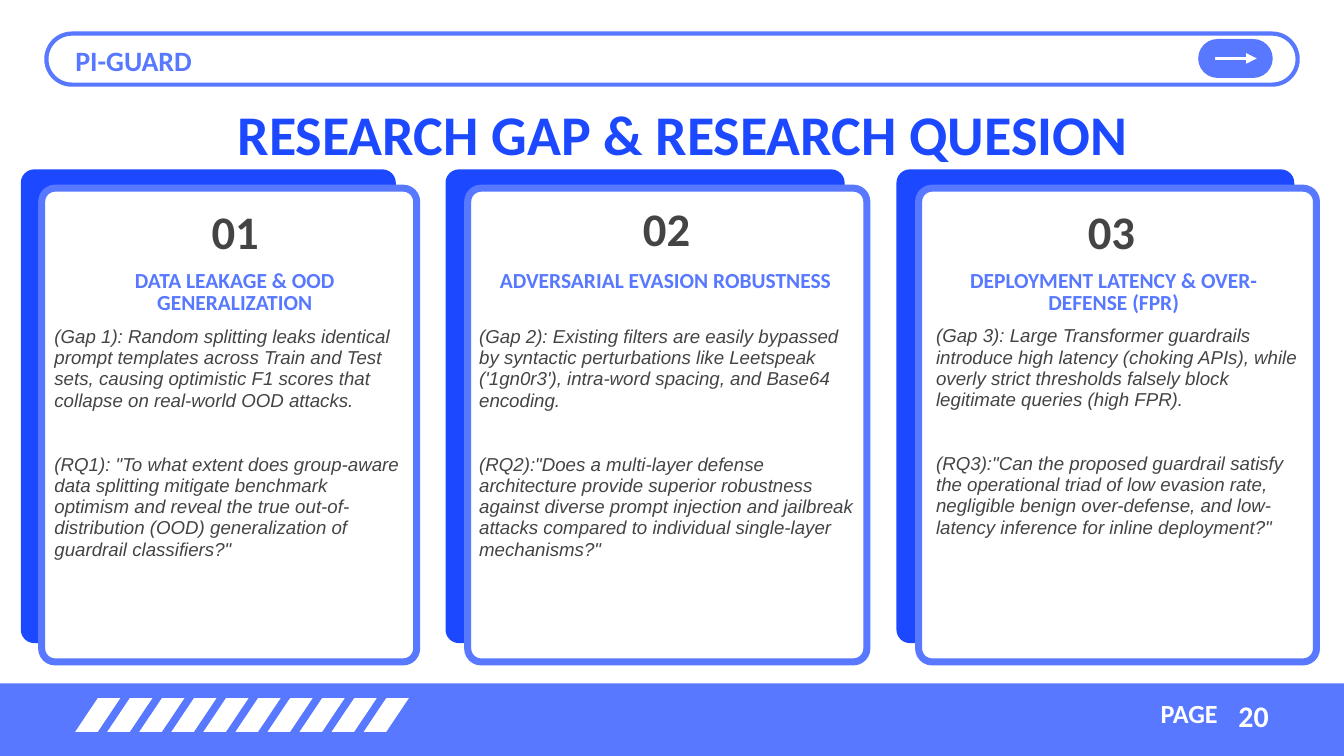
from lxml import etree
from pptx import Presentation
from pptx.dml.color import RGBColor
from pptx.enum import shapes, text
from pptx.oxml.ns import qn
from pptx.util import Inches, Pt

BLUE, DEEP, GRAY, WHITE = "5778FF", "1C49FF", "444444", "FFFFFF"
LEFT, CENTER, RIGHT = text.PP_ALIGN.LEFT, text.PP_ALIGN.CENTER, text.PP_ALIGN.RIGHT

CARDS = [
    dict(
        number="01", heading="DATA LEAKAGE & OOD GENERALIZATION",
        back=0.31, front=0.62, width=5.58,
        number_box=(1.05, 3.15, 4.9, 0.74),
        heading_box=(0.83, 4.04, 5.33, 0.64),
        body_box=(0.81, 4.85, 5.2, 3.76),
        body=[
            "(Gap 1): Random splitting leaks identical prompt templates across Train and Test sets, "
            "causing optimistic F1 scores that collapse on real-world OOD attacks.",
            "(RQ1): \"To what extent does group-aware data splitting mitigate benchmark optimism and "
            "reveal the true out-of-distribution (OOD) generalization of guardrail classifiers?\"",
        ],
    ),
    dict(
        number="02", heading="ADVERSARIAL EVASION ROBUSTNESS",
        back=6.63, front=6.96, width=5.94,
        number_box=(6.95, 3.1, 5.94, 0.74),
        heading_box=(6.96, 4.04, 5.89, 0.64),
        body_box=(7.13, 4.85, 5.72, 4.07),
        body=[
            "(Gap 2): Existing filters are easily bypassed by syntactic perturbations like Leetspeak "
            "('1gn0r3'), intra-word spacing, and Base64 encoding.",
            "(RQ2):\"Does a multi-layer defense architecture provide superior robustness against "
            "diverse prompt injection and jailbreak attacks compared to individual single-layer "
            "mechanisms?\"",
        ],
    ),
    dict(
        number="03", heading="DEPLOYMENT LATENCY & OVER-DEFENSE (FPR)",
        back=13.34, front=13.67, width=5.92,
        number_box=(13.58, 3.15, 5.92, 0.74),
        heading_box=(13.95, 4.04, 5.25, 0.96),
        body_box=(13.93, 4.84, 5.38, 3.44),
        body=[
            "(Gap 3): Large Transformer guardrails introduce high latency (choking APIs), while "
            "overly strict thresholds falsely block legitimate queries (high FPR).",
            "(RQ3):\"Can the proposed guardrail satisfy the operational triad of low evasion rate, "
            "negligible benign over-defense, and low-latency inference for inline deployment?\"",
        ],
    ),
]


def color(hex_string):
    """Return the colour for a hex string."""
    return RGBColor.from_string(hex_string)


def add_block(s, kind, box, fill=None, line=None, weight=0, adj=None):
    """Add a preset shape with an optional fill, outline and adjustment."""
    sp = s.shapes.add_shape(kind, *map(Inches, box))
    sp.shadow.inherit = False
    if fill:
        sp.fill.solid()
        sp.fill.fore_color.rgb = color(fill)
    else:
        sp.fill.background()
    if line:
        sp.line.color.rgb = color(line)
        sp.line.width = Pt(weight)
    else:
        sp.line.fill.background()
    if adj is not None:
        sp.adjustments[0] = adj
    return sp


def add_rounded(s, box, radius, **style):
    """Add a rounded rectangle with its corner radius in inches."""
    return add_block(s, shapes.MSO_SHAPE.ROUNDED_RECTANGLE, box, adj=radius / min(box[2:]), **style)


def add_text(s, box, paragraphs, size, spacing, fill, align=LEFT, font="Calibri",
             bold=True, italic=False, gap=0):
    """Add a wrapped text box whose paragraphs share one format."""
    tf = s.shapes.add_textbox(*map(Inches, box)).text_frame
    tf.word_wrap = True
    tf.auto_size = text.MSO_AUTO_SIZE.SHAPE_TO_FIT_TEXT
    tf.margin_left = tf.margin_top = tf.margin_right = tf.margin_bottom = 0
    for i, words in enumerate(paragraphs):
        p = tf.add_paragraph() if i else tf.paragraphs[0]
        p.alignment = align
        p.line_spacing = Pt(spacing)
        if i:
            p.space_before = Pt(gap)
        r = p.add_run()
        r.text = words
        r.font.name = font
        r.font.size = Pt(size)
        r.font.bold = bold
        r.font.italic = italic
        r.font.color.rgb = color(fill)


def add_arrow(s, start, end, fill, weight):
    """Add a straight arrow with a triangular head at its end."""
    cx = s.shapes.add_connector(shapes.MSO_CONNECTOR.STRAIGHT, *map(Inches, start + end))
    cx.line.color.rgb = color(fill)
    cx.line.width = Pt(weight)
    etree.SubElement(cx.line._get_or_add_ln(), qn("a:tailEnd"), type="triangle")
    etree.SubElement(cx._element.spPr, qn("a:effectLst"))


def add_header(s):
    """Add the outlined title bar with its arrow button, and the slide title."""
    add_rounded(s, (0.69, 0.5, 18.62, 0.76), 0.38, line=BLUE, weight=4.5)
    add_rounded(s, (17.83, 0.58, 1.11, 0.58), 0.29, fill=BLUE)
    add_arrow(s, (18.08, 0.87), (18.7, 0.87), WHITE, 3.75)
    add_text(s, (1.12, 0.56, 13.55, 0.57), ["PI-GUARD"], 30, 42, BLUE)
    add_text(s, (1.01, 1.64, 18.3, 0.88), ["RESEARCH GAP & RESEARCH QUESION"], 60, 60.6, DEEP, CENTER)


def add_card(s, card):
    """Add one layered card with its number, heading and body."""
    add_rounded(s, (card["back"], 2.52, card["width"], 7.05), 0.2, fill=DEEP)
    add_rounded(s, (card["front"], 2.8, card["width"], 7.05), 0.2, fill=WHITE, line=BLUE, weight=7.5)
    add_text(s, card["number_box"], [card["number"]], 50, 50.5, GRAY, CENTER)
    add_text(s, card["heading_box"], [card["heading"]], 23, 23.2, BLUE, CENTER)
    add_text(s, card["body_box"], card["body"], 20, 22.8, GRAY, font="Arial",
             bold=False, italic=True, gap=45.6)


def add_footer(s):
    """Add the bottom band with its slanted stripes and page number."""
    add_block(s, shapes.MSO_SHAPE.RECTANGLE, (0, 10.17, 20, 1.08), fill=BLUE)
    for i in range(10):
        add_block(s, shapes.MSO_SHAPE.PARALLELOGRAM, (1.12 + i * 0.477, 10.39, 0.67, 0.5),
                  fill=WHITE, adj=0.67)
    add_text(s, (14.67, 10.45, 3.45, 0.41), ["PAGE"], 28, 28.3, WHITE, RIGHT)
    add_text(s, (17.38, 10.3, 1.5, 0.59), ["20"], 32, 44.8, WHITE, RIGHT)


def main():
    """Build the slide and save it."""
    prs = Presentation()
    prs.slide_width, prs.slide_height = Inches(20), Inches(11.25)
    s = prs.slides.add_slide(prs.slide_layouts[6])
    add_footer(s)
    add_header(s)
    for card in CARDS:
        add_card(s, card)
    prs.save("out.pptx")


if __name__ == "__main__":
    main()
